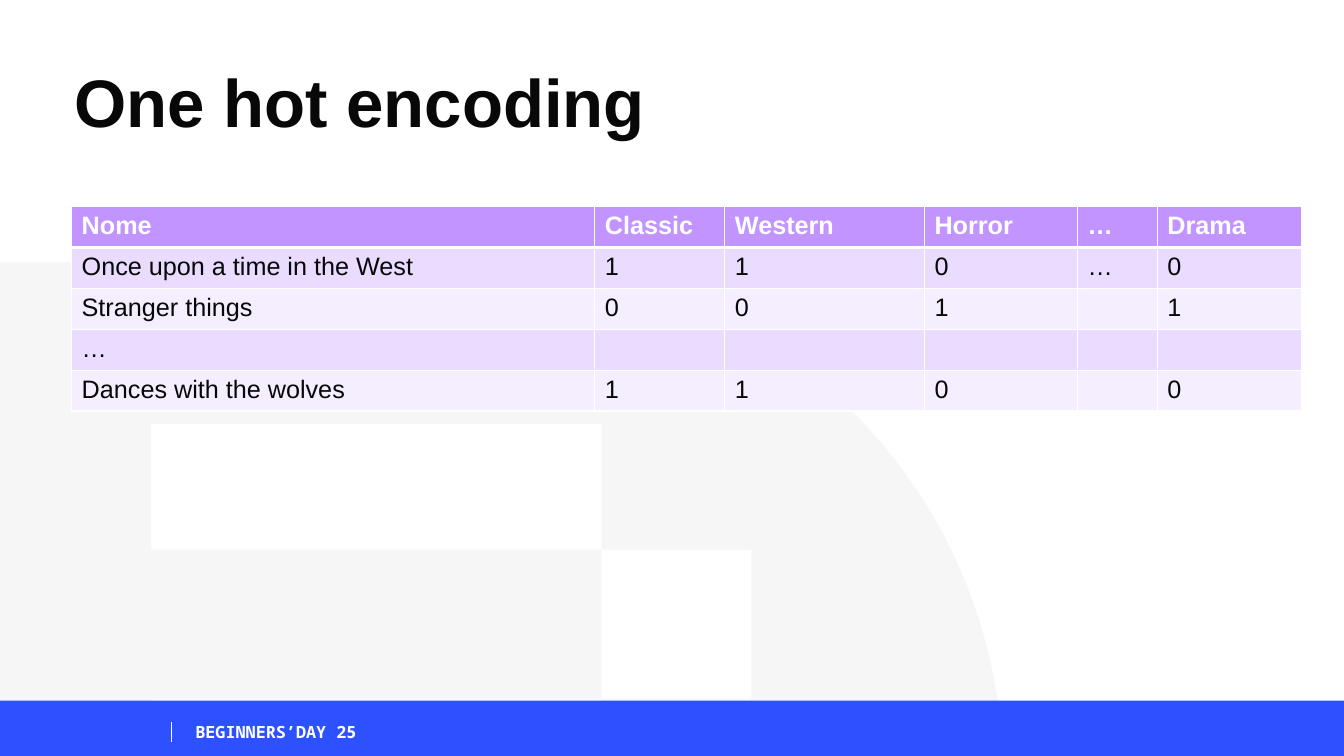
"""Builds the "One hot encoding" slide with its genre table."""
import math

import lxml.etree
import pptx
import pptx.dml.color
import pptx.enum.shapes
import pptx.enum.text
import pptx.oxml
import pptx.oxml.ns
import pptx.util

THEME = {
    "ink": "080808", "white": "FFFFFF", "footer": "2D51FF", "backdrop": "E5E5E5",
    "header": "C294FF", "bands": ("E9DCFF", "F4EEFF"),
    "font": "Arial", "mono": "Noto Sans Mono",
    "title_pt": 48, "table_pt": 18, "footer_pt": 12,
}
rgb = pptx.dml.color.RGBColor.from_string
qn = pptx.oxml.ns.qn

prs = pptx.Presentation()
prs.slide_width = pptx.util.Inches(13.333)
prs.slide_height = pptx.util.Inches(7.5)
W, H = prs.slide_width, prs.slide_height
s = prs.slides.add_slide(prs.slide_layouts[6])


def box(left, top, width, height):
    """Turn percentages of the slide into lengths."""
    return [round(size * share / 100)
            for size, share in zip((W, H, W, H), (left, top, width, height))]


def add_run(p, text, size, color, bold, font=THEME["font"]):
    """Add one formatted run to a paragraph."""
    r = p.add_run()
    r.text = text
    r.font.size = pptx.util.Pt(size)
    r.font.name = font
    r.font.bold = bold
    r.font.color.rgb = rgb(color)


module = H * 0.198
mid = H * 1.024
radius, center = 3.42, 3.28
arc = [(center + radius * math.cos(math.radians(a)), radius * math.sin(math.radians(a)))
       for a in range(-90, 91, 2)]
contours = [[(0, -radius)] + arc + [(0, radius)]]
bar, square = (1.01, 4.02), (4.02, 5.02)
for (left, right), top, bottom in [(bar, -2.34, -1.5), (square, -1.5, -0.5), (bar, -0.5, 0.5),
                                   (square, 0.5, 1.5), (bar, 1.5, 2.34)]:
    contours.append([(left, top), (left, bottom), (right, bottom), (right, top)])

builder = None
for contour in contours:
    points = [(round(x * module), round(mid + y * module)) for x, y in contour]
    if builder is None:
        builder = s.shapes.build_freeform(*points[0])
    else:
        builder.move_to(*points[0])
    builder.add_line_segments(points[1:], close=True)
sp = builder.convert_to_shape()
sp.shadow.inherit = False
sp.fill.solid()
sp.fill.fore_color.rgb = rgb(THEME["backdrop"])
sp.line.fill.background()
tint = sp.fill._xPr.find(".//" + qn("a:srgbClr"))
lxml.etree.SubElement(tint, qn("a:alpha"), val="33000")

sp = s.shapes.add_shape(pptx.enum.shapes.MSO_SHAPE.RECTANGLE, *box(0, 92.67, 100, 7.33))
sp.shadow.inherit = False
sp.fill.solid()
sp.fill.fore_color.rgb = rgb(THEME["footer"])
sp.line.fill.background()

tf = s.shapes.add_textbox(*box(13.8, 94.8, 86.2, 4)).text_frame
tf.word_wrap = True
add_run(tf.paragraphs[0], "BEGINNERS’DAY 25", THEME["footer_pt"], THEME["white"], True,
        THEME["mono"])

rule = s.shapes.add_connector(pptx.enum.shapes.MSO_CONNECTOR.STRAIGHT,
                              *box(12.75, 95.47, 12.75, 98.13))
rule.line.color.rgb = rgb(THEME["white"])
rule.line.width = pptx.util.Pt(0.75)
lxml.etree.SubElement(rule._element.spPr, qn("a:effectLst"))

tf = s.shapes.add_textbox(*box(4.8, 7.33, 72.9, 13.33)).text_frame
tf.word_wrap = True
tf.vertical_anchor = pptx.enum.text.MSO_ANCHOR.MIDDLE
p = tf.paragraphs[0]
p.line_spacing = 0.9
add_run(p, "One hot encoding", THEME["title_pt"], THEME["ink"], True)

rows = [
    ("Nome", "Classic", "Western", "Horror", "…", "Drama"),
    ("Once upon a time in the West", "1", "1", "0", "…", "0"),
    ("Stranger things", "0", "0", "1", "", "1"),
    ("…", "", "", "", "", ""),
    ("Dances with the wolves", "1", "1", "0", "", "0"),
]
shares = (38.93, 9.68, 14.85, 11.4, 5.93, 10.73)
table = s.shapes.add_table(len(rows), len(shares),
                           *box(5.33, 27.33, sum(shares), 5.41 * len(rows))).table
for column, share in zip(table.columns, shares):
    column.width = round(W * share / 100)

for i, row in enumerate(rows):
    fill = THEME["bands"][(i - 1) % 2] if i else THEME["header"]
    color = THEME["ink"] if i else THEME["white"]
    widths = {"L": 1, "R": 1, "T": 3 if i == 1 else 1, "B": 3 if i == 0 else 1}
    for j, text in enumerate(row):
        cell = table.cell(i, j)
        tcPr = cell._tc.get_or_add_tcPr()
        for side, width in widths.items():
            ln = lxml.etree.SubElement(tcPr, qn("a:ln" + side), w=str(pptx.util.Pt(width)))
            paint = lxml.etree.SubElement(ln, qn("a:solidFill"))
            lxml.etree.SubElement(paint, qn("a:srgbClr"), val=THEME["white"])
        cell.fill.solid()
        cell.fill.fore_color.rgb = rgb(fill)
        if text:
            add_run(cell.text_frame.paragraphs[0], text, THEME["table_pt"], color, i == 0)

prs.save("out.pptx")
